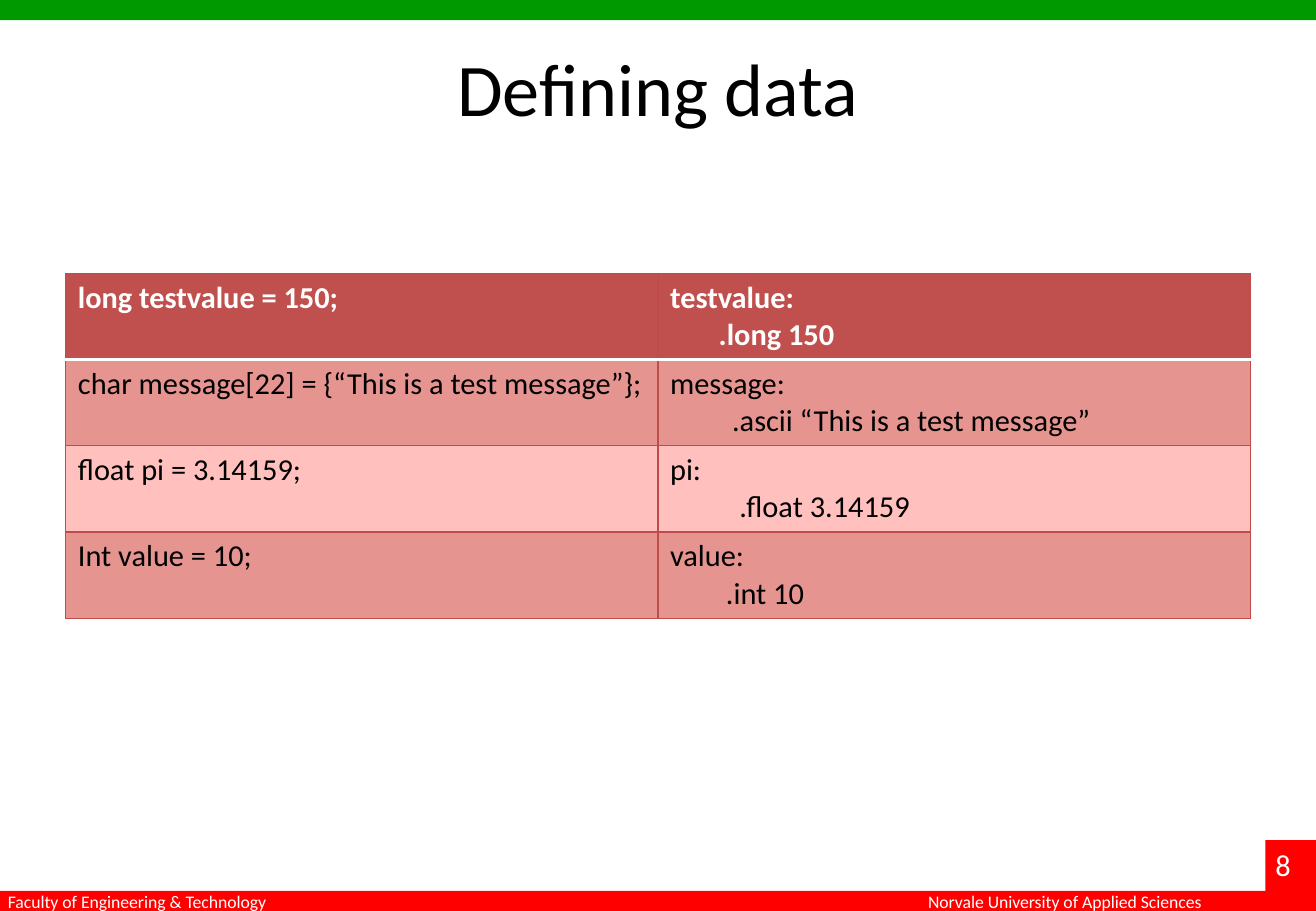
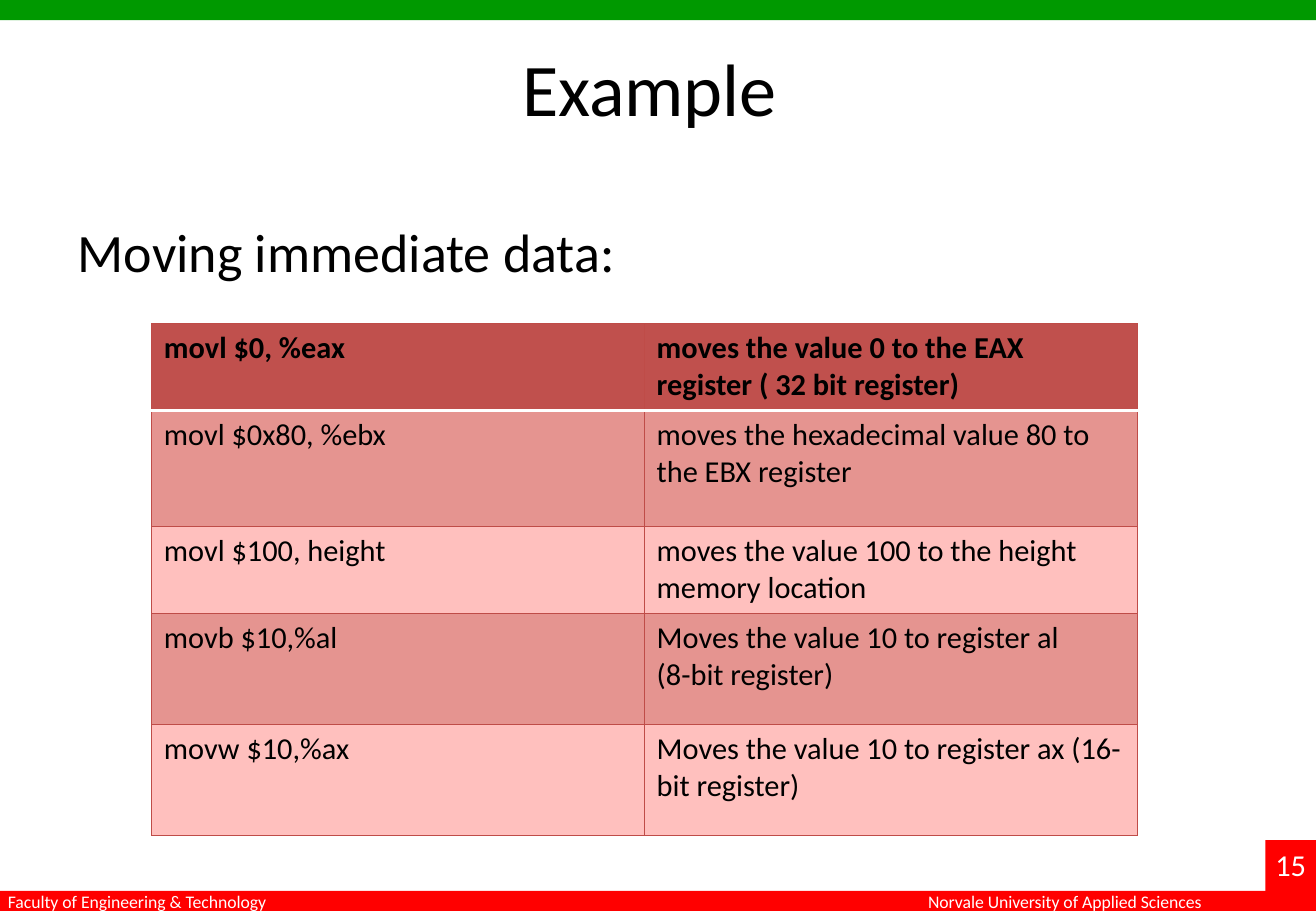
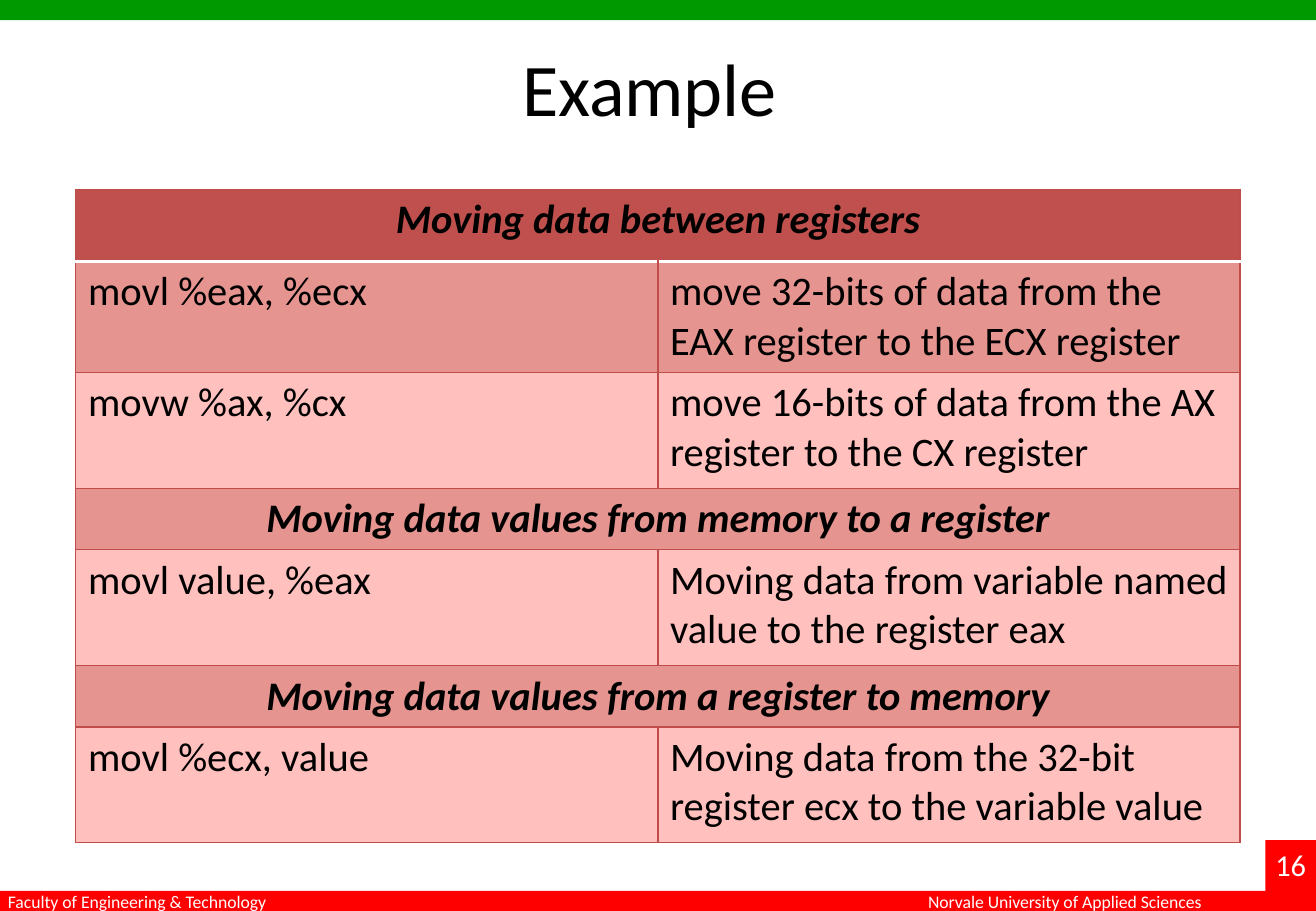
from lxml import etree
from pptx import Presentation
from pptx.dml.color import RGBColor
from pptx.enum.shapes import MSO_SHAPE
from pptx.enum.text import MSO_ANCHOR, PP_ALIGN
from pptx.oxml.ns import qn
from pptx.util import Inches, Pt

RECT = MSO_SHAPE.RECTANGLE
TOP = MSO_ANCHOR.TOP
LEFT, MID = PP_ALIGN.LEFT, PP_ALIGN.CENTER
FONT = "Calibri"
UNIT = Inches(1) / 6
COLS, ROWS = 65, 45
HUES = {
    "green": "009900",
    "red": "FF0000",
    "white": "FFFFFF",
    "black": "000000",
    "head": "C0504D",
    "dark": "E59490",
    "light": "FFC0BE",
    "line": "BF4C48",
}

BANDS = [
    (0, 0, COLS, 1, "green"),
    (0, ROWS - 1, COLS, 1, "red"),
    (COLS - 2.5, ROWS - 3.5, 2.5, 3.5, "red"),
]

PAGES = [
    {
        "page": "8",
        "title": "Defining data",
        "lead": "",
        "at": (3.25, 13.5),
        "wide": 58.5,
        "size": 18,
        "ink": "white",
        "tall": [4.26] * 4,
        "dents": [2.4, 3.06, 3.42, 2.76],
        "rows": [
            ("long testvalue = 150;", "testvalue:\n.long 150"),
            ("char message[22] = {“This is a test message”};",
             "message:\n.ascii “This is a test message”"),
            ("float pi = 3.14159;", "pi:\n.float 3.14159"),
            ("Int value = 10;", "value:\n.int 10"),
        ],
    },
    {
        "page": "15",
        "title": "Example ",
        "lead": "Moving immediate data:",
        "at": (7.5, 16),
        "wide": 48.68,
        "size": 18,
        "ink": "black",
        "tall": [4.3, 5.73, 4.26, 5.5, 5.5],
        "dents": [0] * 5,
        "rows": [
            ("movl $0, %eax",
             "moves the value 0 to the EAX register ( 32 bit register)"),
            ("movl $0x80, %ebx",
             "moves the hexadecimal value 80 to the EBX register"),
            ("movl $100, height",
             "moves the value 100 to the height memory location"),
            ("movb $10,%al",
             "Moves the value 10 to register al\n(8-bit register)"),
            ("movw $10,%ax",
             "Moves the value 10 to register ax (16-bit register)"),
        ],
    },
    {
        "page": "16",
        "title": "Example ",
        "lead": "",
        "at": (3.75, 9.36),
        "wide": 57.5,
        "size": 24,
        "ink": "black",
        "tall": [3.54, 5.5, 5.73, 3.03, 5.73, 3.03, 5.7],
        "dents": [0] * 7,
        "rows": [
            ("Moving data between registers",),
            ("movl %eax, %ecx",
             "move 32-bits of data from the EAX register to the ECX register"),
            ("movw %ax, %cx",
             "move 16-bits of data from the AX register to the CX register"),
            ("Moving data values from memory to a register",),
            ("movl value, %eax",
             "Moving data from variable named value to the register eax"),
            ("Moving data values from a register to memory",),
            ("movl %ecx, value",
             "Moving data from the 32-bit register ecx to the variable value"),
        ],
    },
]


def grid(*spans):
    return [round(span * UNIT) for span in spans]


def style(frame, text, size, ink, align=LEFT, bold=False, slant=False):
    frame.text = text
    frame.word_wrap = True
    for para in frame.paragraphs:
        para.alignment = align
        for run in para.runs:
            font = run.font
            font.name, font.size = FONT, Pt(size)
            font.bold, font.italic = bold, slant
            font.color.rgb = RGBColor.from_string(HUES[ink])


deck = Presentation()
deck.slide_width, deck.slide_height = grid(COLS, ROWS)

for page in PAGES:
    slide = deck.slides.add_slide(deck.slide_layouts[6])
    shapes = slide.shapes

    for *spot, hue in BANDS:
        band = shapes.add_shape(RECT, *grid(*spot))
        band.shadow.inherit = False
        band.fill.solid()
        band.fill.fore_color.rgb = RGBColor.from_string(HUES[hue])
        band.line.fill.background()

    texts = [
        (45.25, 43.7, 16.8, 1.7, "Norvale University of Applied Sciences", 10.5, "white", LEFT),
        (62.4, 41.5, 3, 2.4, page["page"], 18, "white", LEFT),
        (-0.2, 43.7, 16, 1.7, "Faculty of Engineering & Technology", 10.5, "white", LEFT),
        (3.25, 1.8, 58.5, 7.5, page["title"], 44, "black", MID),
    ]
    if page["lead"]:
        texts.append((3.25, 10.5, 58.5, 4, page["lead"], 32, "black", LEFT))
    for x, y, wide, tall, text, size, ink, align in texts:
        box = shapes.add_textbox(*grid(x, y, wide, tall))
        box.text_frame.vertical_anchor = TOP
        style(box.text_frame, text, size, ink, align)

    rows, tall = page["rows"], page["tall"]
    area = grid(*page["at"], page["wide"], sum(tall))
    table = shapes.add_table(len(rows), 2, *area).table
    table.first_row = table.horz_banding = False
    for col in table.columns:
        col.width = round(area[2] / 2)

    for r, row in enumerate(rows):
        table.rows[r].height = grid(tall[r])[0]
        head, span = r == 0, len(row) == 1
        fill = "head" if head else "dark" if r % 2 else "light"
        for c in range(2):
            cell = table.cell(r, c)
            props = cell._tc.get_or_add_tcPr()
            for side in "LRTB":
                pale = (r, side) in ((0, "B"), (1, "T"))
                edge = etree.SubElement(props, qn("a:ln" + side))
                edge.set("w", str(Pt(2 if pale else 0.75)))
                paint = etree.SubElement(edge, qn("a:solidFill"))
                tone = etree.SubElement(paint, qn("a:srgbClr"))
                tone.set("val", HUES["white" if pale else "line"])
            cell.fill.solid()
            cell.fill.fore_color.rgb = RGBColor.from_string(HUES[fill])
        if span:
            table.cell(r, 0).merge(table.cell(r, 1))
        for c, text in enumerate(row):
            frame = table.cell(r, c).text_frame
            ink = page["ink"] if head else "black"
            style(frame, text, page["size"], ink, MID if span else LEFT, head or span, span)
            for para in frame.paragraphs[1:]:
                para._p.get_or_add_pPr().set("marL", str(grid(page["dents"][r])[0]))

deck.save("out.pptx")
